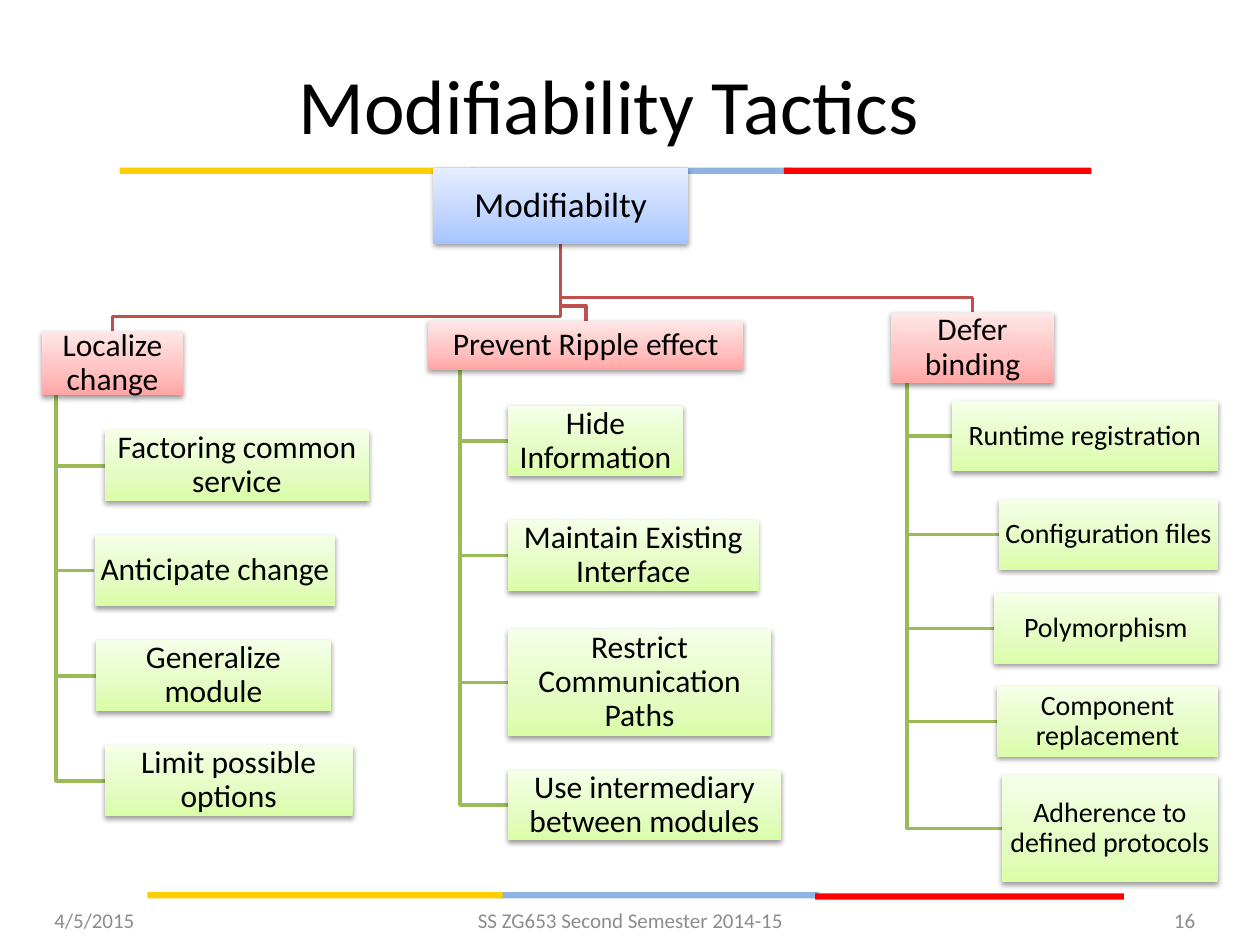
from lxml.etree import SubElement
from pptx import Presentation
from pptx.dml.color import RGBColor
from pptx.enum.shapes import MSO_SHAPE
from pptx.enum.text import MSO_ANCHOR, PP_ALIGN
from pptx.oxml import parse_xml
from pptx.oxml.ns import nsdecls, qn
from pptx.util import Pt

COLORS = {
    "text": "000000", "footer": "8C8C8C",
    "yellow": "FFCE00", "blue": "8EB4E3", "red": "FF0000",
    "branch_line": "C0504D", "leaf_line": "9BBB59",
}
GRADIENTS = {
    "root": ("A4C4FF", "BFD4FF", "E6EEFF"),
    "branch": ("FFA6A5", "FFC0BF", "FFE7E7"),
    "leaf": ("DAFDA7", "E4FCC2", "F5FFE7"),
}
STOPS = (0, 35, 100)
ELBOW = 8.4

BARS = [
    ("blue", 268.5, 95.8, 183.6), ("red", 448, 95.8, 175.7), ("yellow", 68.4, 95.8, 203),
    ("blue", 284.4, 509.8, 183.6), ("red", 465.8, 510.5, 176.4), ("yellow", 84.2, 509.8, 203),
]
ROOT = ("Modifiabilty", 247.7, 95.8, 145.4, 43.5)
BRANCHES = [
    (("Localize change", 24, 189.4, 80.6, 36.4), 18, [
        ("Factoring common service", 59.8, 246, 151.2, 40.3),
        ("Anticipate change", 54, 306, 137.5, 40.3),
        ("Generalize module", 54.7, 366, 134.6, 40.3),
        ("Limit possible options", 59.8, 426, 141.8, 40.3),
    ]),
    (("Prevent Ripple effect", 244.8, 183.2, 180, 28.1), 18, [
        ("Hide Information", 290.2, 231.8, 100.1, 40.3),
        ("Maintain Existing Interface", 290.2, 297.4, 143.3, 40.3),
        ("Restrict Communication Paths", 290.2, 359.5, 150.5, 61.2),
        ("Use intermediary between modules", 290.2, 439.9, 156.2, 40.3),
    ]),
    (("Defer binding", 509, 178.6, 93.6, 40.3), 16, [
        ("Runtime registration", 543.9, 229, 152, 40.3),
        ("Configuration files", 570.9, 285.3, 125, 40.3),
        ("Polymorphism", 567.9, 339, 128, 40.3),
        ("Component replacement", 569.9, 392.2, 126, 40.3),
        ("Adherence to defined protocols", 572.6, 442.8, 123.3, 61.2),
    ]),
]
FOOTERS = [
    ("4/5/2015", 24, 168, PP_ALIGN.LEFT),
    ("SS ZG653 Second Semester 2014-15", 246.2, 228.2, PP_ALIGN.CENTER),
    ("16", 522, 168, PP_ALIGN.RIGHT),
]


class Painter:
    """Holds the deck style and draws elements on the current slide."""

    font = "Calibri"
    line_width = 2

    def __init__(self, slide):
        self.slide = slide

    def color(self, name):
        return RGBColor.from_string(COLORS[name])

    def set_text(self, shape, text, size, color="text", align=PP_ALIGN.CENTER):
        frame = shape.text_frame
        frame.text = text
        frame.word_wrap = True
        frame.vertical_anchor = MSO_ANCHOR.MIDDLE
        paragraph = frame.paragraphs[0]
        paragraph.alignment = align
        font = paragraph.runs[0].font
        font.name, font.size = self.font, Pt(size)
        font.color.rgb = self.color(color)

    def label(self, text, left, top, width, height, size, color="text", align=PP_ALIGN.CENTER):
        shape = self.slide.shapes.add_textbox(Pt(left), Pt(top), Pt(width), Pt(height))
        self.set_text(shape, text, size, color, align)

    def rectangle(self, left, top, width, height):
        shape = self.slide.shapes.add_shape(
            MSO_SHAPE.RECTANGLE, Pt(left), Pt(top), Pt(width), Pt(height))
        shape.shadow.inherit = False
        shape.line.fill.background()
        return shape

    def bar(self, color, left, top, width):
        shape = self.rectangle(left, top, width, 3.6)
        shape.fill.solid()
        shape.fill.fore_color.rgb = self.color(color)

    def box(self, kind, node, size):
        text, *bounds = node
        shape = self.rectangle(*bounds)
        properties = shape.element.spPr
        stops = "".join(
            f'<a:gs pos="{stop * 1000}"><a:srgbClr val="{color}"/></a:gs>'
            for stop, color in zip(STOPS, GRADIENTS[kind]))
        gradient = parse_xml(
            f'<a:gradFill {nsdecls("a")} rotWithShape="1"><a:gsLst>{stops}</a:gsLst>'
            '<a:lin ang="16200000" scaled="0"/></a:gradFill>')
        properties.find(qn("a:prstGeom")).addnext(gradient)
        shadow = SubElement(
            properties.find(qn("a:effectLst")), qn("a:outerShdw"),
            blurRad=str(Pt(3.1)), dist=str(Pt(1.6)), dir="5400000", rotWithShape="0")
        shadow_color = SubElement(shadow, qn("a:srgbClr"), val=COLORS["text"])
        SubElement(shadow_color, qn("a:alpha"), val="38000")
        self.set_text(shape, text, size)
        frame = shape.text_frame
        frame.margin_left = frame.margin_right = Pt(0.8)
        frame.margin_top = frame.margin_bottom = Pt(0.8)
        frame.paragraphs[0].line_spacing = 0.9

    def route(self, color, *points):
        start, *others = [(Pt(x), Pt(y)) for x, y in points]
        builder = self.slide.shapes.build_freeform(*start)
        builder.add_line_segments(others, close=False)
        shape = builder.convert_to_shape()
        shape.shadow.inherit = False
        shape.fill.background()
        shape.line.width = Pt(self.line_width)
        shape.line.color.rgb = self.color(color)

    def branch_route(self, root, branch):
        _, left, top, width, height = root
        _, branch_left, branch_top, branch_width, _ = branch
        start, end = left + width / 2, branch_left + branch_width / 2
        elbow = branch_top - ELBOW
        self.route("branch_line", (start, top + height), (start, elbow),
                   (end, elbow), (end, branch_top))

    def leaf_route(self, branch, leaf):
        _, left, top, width, height = branch
        _, leaf_left, leaf_top, _, leaf_height = leaf
        trunk, middle = left + width / 10, leaf_top + leaf_height / 2
        self.route("leaf_line", (trunk, top + height), (trunk, middle), (leaf_left, middle))


def main():
    presentation = Presentation()
    presentation.slide_width, presentation.slide_height = Pt(720), Pt(540)
    painter = Painter(presentation.slides.add_slide(presentation.slide_layouts[6]))
    for bar in BARS:
        painter.bar(*bar)
    painter.label("Modifiability Tactics", 24, 22.3, 648, 74.2, 44)
    for branch, _, leaves in BRANCHES:
        for leaf in leaves:
            painter.leaf_route(branch, leaf)
        painter.branch_route(ROOT, branch)
    painter.box("root", ROOT, 20)
    for branch, leaf_size, leaves in BRANCHES:
        painter.box("branch", branch, 18)
        for leaf in leaves:
            painter.box("leaf", leaf, leaf_size)
    for text, left, width, align in FOOTERS:
        painter.label(text, left, 511.2, width, 28.8, 12, "footer", align)
    presentation.save("out.pptx")


if __name__ == "__main__":
    main()
